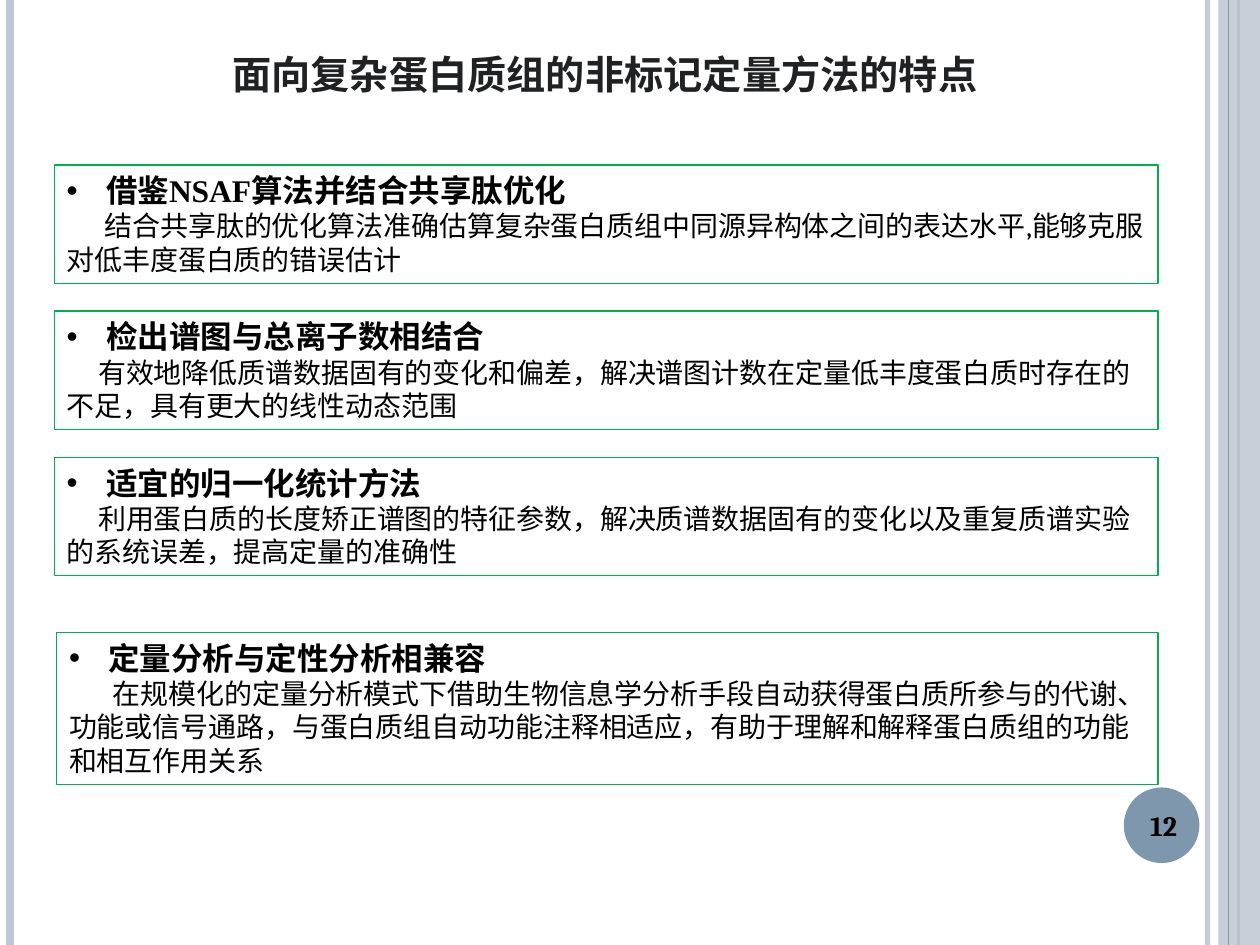
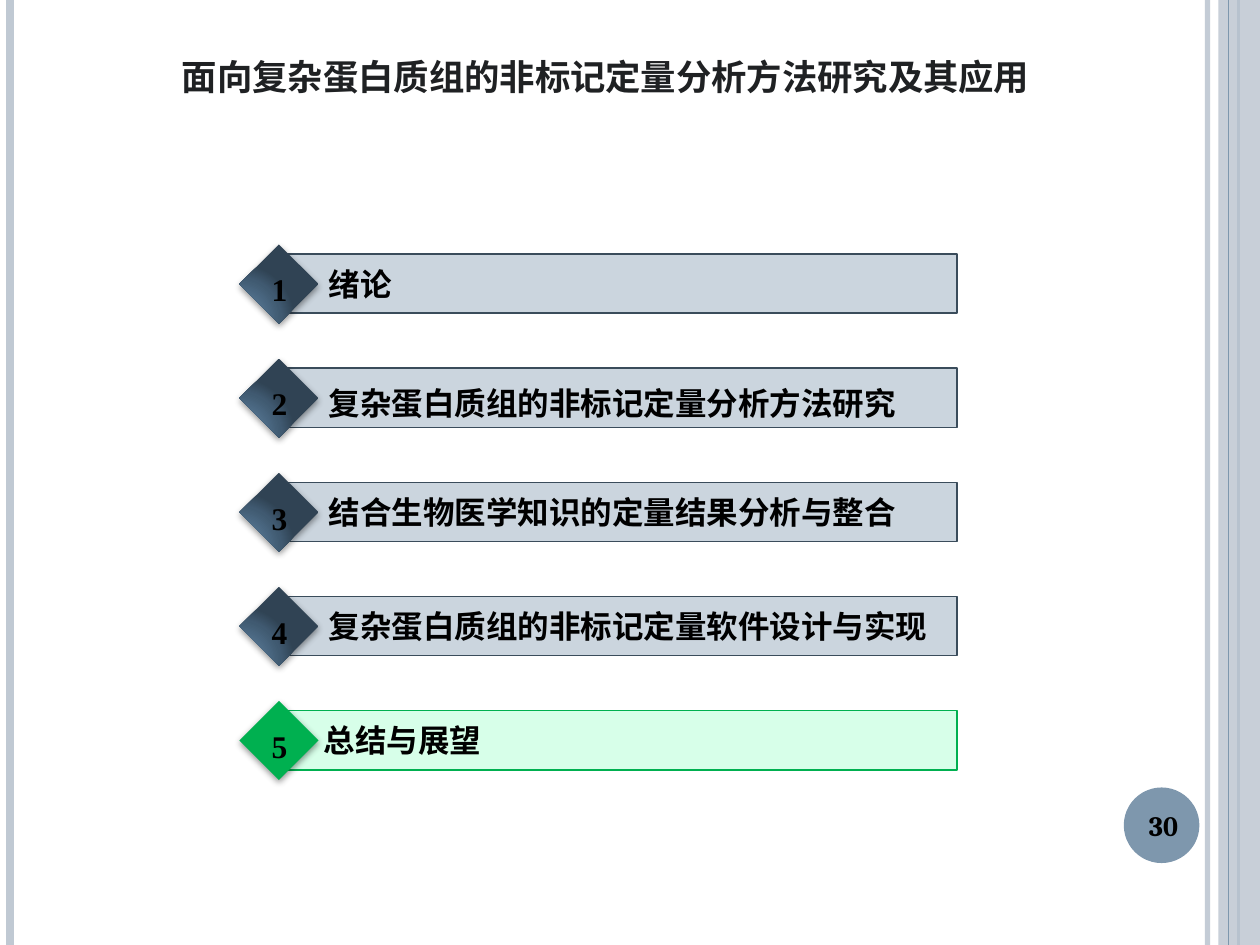
"""Builds two slides on label-free protein quantification: method features and the outline."""
import pptx
import pptx.dml.color
import pptx.enum.lang
import pptx.enum.shapes
import pptx.enum.text
import pptx.oxml
import pptx.oxml.ns
import pptx.util

Pt = pptx.util.Pt
qn = pptx.oxml.ns.qn
rgb = pptx.dml.color.RGBColor.from_string
SHAPE = pptx.enum.shapes.MSO_SHAPE
ANCHOR = pptx.enum.text.MSO_ANCHOR
ALIGN = pptx.enum.text.PP_ALIGN
CHINESE = pptx.enum.lang.MSO_LANGUAGE_ID.SIMPLIFIED_CHINESE
NS = pptx.oxml.ns.nsdecls("a")

BAND, BLUE, GREEN = "C0C9D3", "7E97AD", "00B050"
TITLE_INK, BLACK = "1F2123", "000000"
STOPS = [(0, "5B7C9A"), (30, "577895"), (75, "405A71"), (100, "304354")]
GRADIENT = (
    f'<a:gradFill {NS}><a:gsLst>'
    + "".join(f'<a:gs pos="{pos * 1000}"><a:srgbClr val="{c}"/></a:gs>' for pos, c in STOPS)
    + '</a:gsLst><a:path path="circle">'
    '<a:fillToRect l="5000" t="100000" r="120000" b="10000"/></a:path></a:gradFill>'
)
SHADOW = (
    f'<a:outerShdw {NS} blurRad="{Pt(4)}" dist="{Pt(1.6)}" dir="5400000" rotWithShape="0">'
    '<a:srgbClr val="000000"><a:alpha val="42000"/></a:srgbClr></a:outerShdw>'
)


def add_shape(s, kind, box, fill=None, line=None, width=1, opacity=100):
    sp = s.shapes.add_shape(kind, *[Pt(v) for v in box])
    sp.shadow.inherit = False
    if fill:
        sp.fill.solid()
        sp.fill.fore_color.rgb = rgb(fill)
        if opacity < 100:
            clr = next(sp._element.iter(qn("a:srgbClr")))
            clr.append(pptx.oxml.parse_xml(f'<a:alpha {NS} val="{opacity * 1000}"/>'))
    else:
        sp.fill.background()
    if line:
        sp.line.color.rgb = rgb(line)
        sp.line.width = Pt(width)
    else:
        sp.line.fill.background()
    return sp


def add_text(sp, paragraphs, anchor=ANCHOR.TOP, align=ALIGN.LEFT):
    tf = sp.text_frame
    tf.word_wrap = True
    tf.vertical_anchor = anchor
    for i, runs in enumerate(paragraphs):
        p = tf.add_paragraph() if i else tf.paragraphs[0]
        p.alignment = align
        for text, size, font, bold, color in runs:
            r = p.add_run()
            r.text = text
            r.font.size = Pt(size)
            r.font.name = font
            r.font.bold = bold
            r.font.color.rgb = rgb(color)
            r.font.language_id = CHINESE
    return tf


prs = pptx.Presentation()
prs.slide_width, prs.slide_height = Pt(720), Pt(540)

slides = []
for title, size, number in [
    ("面向复杂蛋白质组的非标记定量方法的特点", 28, "12"),
    ("面向复杂蛋白质组的非标记定量分析方法研究及其应用", 25.2, "30"),
]:
    s = prs.slides.add_slide(prs.slide_layouts[6])
    slides.append(s)
    for x, color, width, opacity in [
        (690, BAND, 3, 93), (5.9, BAND, 4.5, 100), (707.8, BLUE, 1.5, 100),
        (None, BAND, 0, 87), (702, BLUE, 0.75, 100),
    ]:
        if x is None:
            add_shape(s, SHAPE.RECTANGLE, (696.2, 0, 23.8, 540), color, opacity=opacity)
            continue
        sp = s.shapes.add_connector(
            pptx.enum.shapes.MSO_CONNECTOR.STRAIGHT, Pt(x), 0, Pt(x), Pt(540))
        sp.line.color.rgb = rgb(color)
        sp.line.width = Pt(width)
        clr = next(sp._element.iter(qn("a:srgbClr")))
        clr.append(pptx.oxml.parse_xml(f'<a:alpha {NS} val="{opacity * 1000}"/>'))
        sp._element.spPr.append(pptx.oxml.parse_xml(f'<a:effectLst {NS}/>'))
    add_shape(s, SHAPE.OVAL, (642.2, 450, 43.2, 43.2), BLUE)

    sp = s.shapes.add_textbox(Pt(14.4), Pt(9.4), Pt(663), Pt(51))
    tf = add_text(sp, [[(title, size, "Arial", True, TITLE_INK)]], ANCHOR.BOTTOM, ALIGN.CENTER)
    tf.paragraphs[0].runs[0].font._element.set("cap", "small")
    sp = s.shapes.add_textbox(Pt(640.8), Pt(451.4), Pt(48.2), Pt(41))
    add_text(sp, [[(number, 16, "Cambria", True, BLACK)]], ANCHOR.MIDDLE, ALIGN.CENTER)

features_slide, outline_slide = slides

features = [
    (31, 94.3, 67.7, 21.7,
     [("借鉴", "Cambria"), ("NSAF", "Times New Roman"), ("算法并结合共享肽优化", "Cambria")],
     "结合共享肽的优化算法准确估算复杂蛋白质组中同源异构体之间的表达水平,能够克服对低丰度蛋白质的错误估计"),
    (31, 177.8, 67.7, 18, [("检出谱图与总离子数相结合", "Cambria")],
     "有效地降低质谱数据固有的变化和偏差，解决谱图计数在定量低丰度蛋白质时存在的不足，具有更大的线性动态范围"),
    (31, 261.4, 67.7, 18, [("适宜的归一化统计方法", "Cambria")],
     "利用蛋白质的长度矫正谱图的特征参数，解决质谱数据固有的变化以及重复质谱实验的系统误差，提高定量的准确性"),
    (32.4, 361.4, 87.1, 25, [("定量分析与定性分析相兼容", "Cambria")],
     "在规模化的定量分析模式下借助生物信息学分析手段自动获得蛋白质所参与的代谢、功能或信号通路，"
     "与蛋白质组自动功能注释相适应，有助于理解和解释蛋白质组的功能和相互作用关系"),
]
for left, top, height, indent, heading, body in features:
    sp = add_shape(features_slide, SHAPE.RECTANGLE, (left, top, 661.7 - left, height),
                   line=GREEN, width=0.75)
    tf = add_text(sp, [
        [(text, 18, font, True, BLACK) for text, font in heading],
        [(body, 16, "Cambria", False, BLACK)],
    ])
    pPr = tf.paragraphs[0]._p.get_or_add_pPr()
    pPr.set("marL", str(Pt(22.5)))
    pPr.set("indent", str(Pt(-22.5)))
    pPr.append(pptx.oxml.parse_xml(f'<a:buFont {NS} typeface="Arial"/>'))
    pPr.append(pptx.oxml.parse_xml(f'<a:buChar {NS} char="•"/>'))
    tf.paragraphs[1]._p.get_or_add_pPr().set("indent", str(Pt(indent)))

chapters = [
    ("绪论", 162, 180.7, 7.9),
    ("复杂蛋白质组的非标记定量分析方法研究", 162, 180.7, 10.8),
    ("结合生物医学知识的定量结果分析与整合", 160.6, 180.7, 7.9),
    ("复杂蛋白质组的非标记定量软件设计与实现", 160.6, 180.7, 7.9),
    ("总结与展望", 162, 177.8, 7.9),
]
for i, (chapter, bar_left, text_left, text_drop) in enumerate(chapters):
    top = 139.7 + 65.2 * i
    current = i == len(chapters) - 1
    fill, line, opacity = ("B9FFD9", GREEN, 56) if current else ("CBD5DE", "3A4C5B", 100)
    add_shape(outline_slide, SHAPE.RECTANGLE, (bar_left, top + 5.6, 547 - bar_left, 33.8),
              fill, line, opacity=opacity)

    sp = add_shape(outline_slide, SHAPE.DIAMOND, (136.8, top, 45.2, 45.2), GREEN)
    spPr = sp._element.spPr
    if not current:
        spPr.replace(spPr.find(qn("a:solidFill")), pptx.oxml.parse_xml(GRADIENT))
    spPr.find(qn("a:effectLst")).append(pptx.oxml.parse_xml(SHADOW))
    add_text(sp, [[(str(i + 1), 18, "Times New Roman", True, BLACK)]])

    sp = outline_slide.shapes.add_textbox(Pt(text_left), Pt(top + text_drop), Pt(372), Pt(29))
    add_text(sp, [[(chapter, 18, "Times New Roman", True, BLACK)]])

prs.save("out.pptx")
